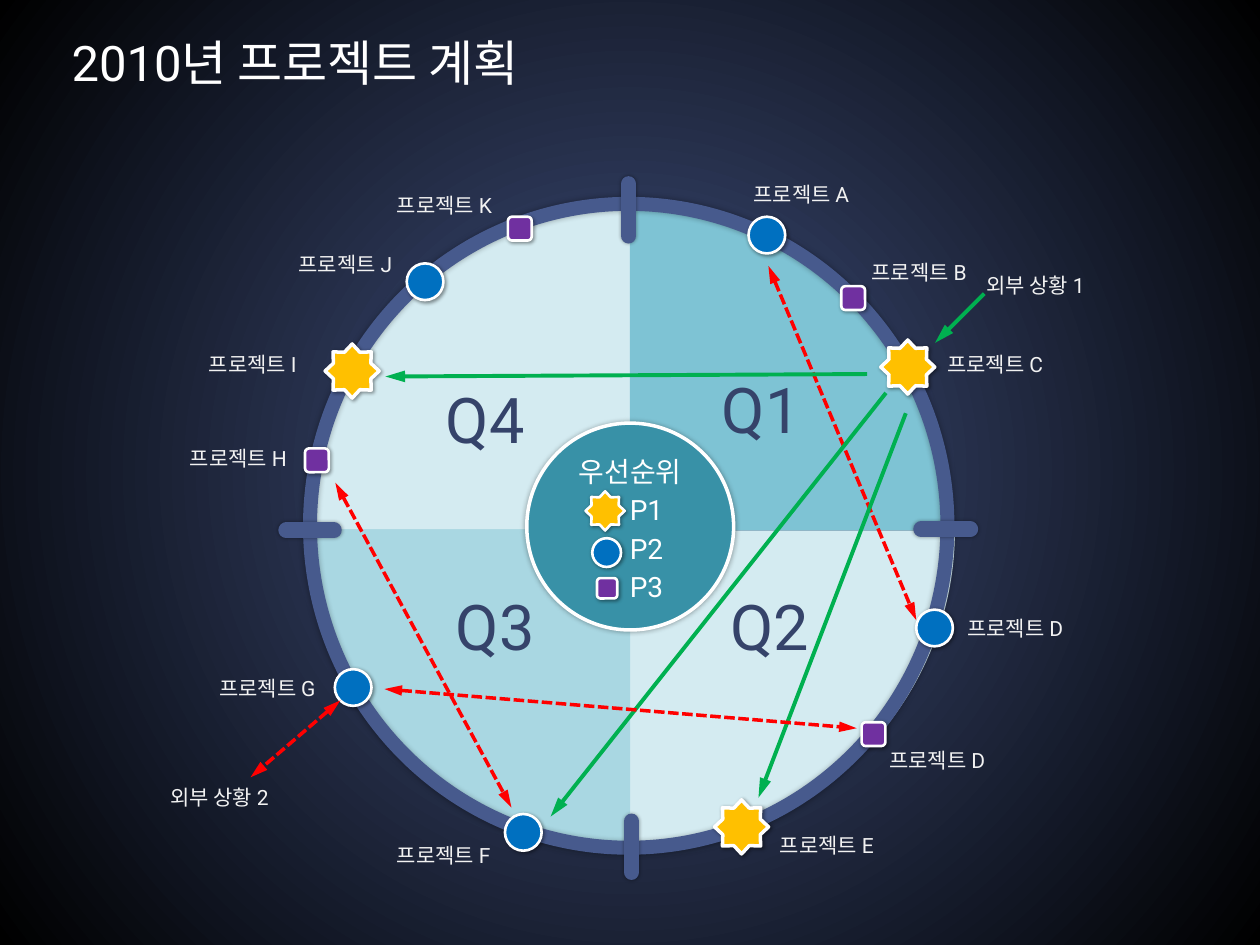
from lxml import etree
from pptx import Presentation
from pptx.dml.color import RGBColor
from pptx.enum import dml, shapes, text
from pptx.oxml.ns import qn
from pptx.util import Cm, Pt

WHITE = RGBColor(0xFF, 0xFF, 0xFF)
BLACK = RGBColor(0x00, 0x00, 0x00)
NAVY = RGBColor(0x35, 0x43, 0x6A)
RING = RGBColor(0x47, 0x5A, 0x8D)
HUB = RGBColor(0x38, 0x91, 0xA7)
PALE = RGBColor(0xD4, 0xEB, 0xF1)
AQUA = RGBColor(0xA9, 0xD7, 0xE2)
TEAL = RGBColor(0x7E, 0xC3, 0xD4)
GOLD = RGBColor(0xFF, 0xC0, 0x00)
BLUE = RGBColor(0x00, 0x70, 0xC0)
PURPLE = RGBColor(0x70, 0x30, 0xA0)
RED = RGBColor(0xFF, 0x00, 0x00)
GREEN = RGBColor(0x00, 0xB0, 0x50)
LABEL = RGBColor(0xF2, 0xF2, 0xF2)

FORM = shapes.MSO_SHAPE
STRAIGHT = shapes.MSO_CONNECTOR.STRAIGHT


def write(para, words, size=12, color=LABEL, align=text.PP_ALIGN.LEFT, spacing=None):
    para.alignment = align
    if spacing:
        para.line_spacing = Pt(spacing)
    span = para.add_run()
    span.text = words
    span.font.name = "Roboto"
    span.font.size = Pt(size)
    span.font.color.rgb = color


def set_shadow(item, alpha=0, blur=0, distance=0):
    """Replace the theme shadow; alpha 0 leaves none."""
    effects = etree.SubElement(item._element.spPr, qn("a:effectLst"))
    if alpha:
        outer = etree.SubElement(
            effects, qn("a:outerShdw"), blurRad=str(Pt(blur)),
            dist=str(Pt(distance)), dir="2700000", algn="tl", rotWithShape="0")
        tint = etree.SubElement(outer, qn("a:srgbClr"), val="000000")
        etree.SubElement(tint, qn("a:alpha"), val=str(alpha * 1000))


deck = Presentation()
deck.slide_width, deck.slide_height = Cm(25.4), Cm(19.05)
page = deck.slides.add_slide(deck.slide_layouts[5])

# Radial background
backdrop = page.background.fill
backdrop.gradient()
for stop, (place, color) in zip(backdrop.gradient_stops, [(0.18, NAVY), (1, BLACK)]):
    stop.position = place
    stop.color.rgb = color
gradient = page._element.find(".//" + qn("a:gradFill"))
gradient.remove(gradient.find(qn("a:lin")))
radial = etree.Element(qn("a:path"))
radial.set("path", "circle")
etree.SubElement(radial, qn("a:fillToRect"), l="50000", t="50000", r="50000", b="50000")
gradient.find(qn("a:gsLst")).addnext(radial)

# Title
title = page.shapes.title
title.left, title.top, title.width, title.height = Cm(1.19), Cm(0.53), Cm(14.3), Cm(1.45)
title.text_frame.vertical_anchor = text.MSO_ANCHOR.TOP
title.text_frame.auto_size = text.MSO_AUTO_SIZE.NONE
write(title.text_frame.paragraphs[0], "2010년 프로젝트 계획", size=28, color=WHITE)

# Quarter wedges
wedges = [
    (12.7, 10.69, 6.55, 6.43, 180, PALE),
    (6.2, 10.69, 6.53, 6.48, 270, AQUA),
    (6.15, 4.24, 6.55, 6.43, 0, PALE),
    (12.67, 4.19, 6.53, 6.48, 90, TEAL),
]
for left, top, width, height, turn, color in wedges:
    wedge = page.shapes.add_shape(FORM.PIE_WEDGE, Cm(left), Cm(top), Cm(width), Cm(height))
    wedge.rotation = turn
    wedge.fill.solid()
    wedge.fill.fore_color.rgb = color
    wedge.line.fill.background()
    set_shadow(wedge)

# Year ring and its four ticks
ring = page.shapes.add_shape(FORM.OVAL, Cm(6.25), Cm(4.11), Cm(12.85), Cm(12.98))
ring.fill.background()
ring.line.color.rgb = RING
ring.line.width = Pt(8)
set_shadow(ring, alpha=34, blur=3)

ticks = [
    (12.67, 3.71, 12.67, 4.75),
    (18.57, 10.67, 19.56, 10.67),
    (5.77, 10.69, 6.73, 10.69),
    (12.73, 16.56, 12.73, 17.58),
]
for ends in ticks:
    tick = page.shapes.add_connector(STRAIGHT, *map(Cm, ends))
    tick.line.color.rgb = RING
    tick.line.width = Pt(9)
    tick.line._get_or_add_ln().set("cap", "rnd")
    set_shadow(tick, alpha=35, blur=2)

# Hub with the priority legend
hub = page.shapes.add_shape(FORM.OVAL, Cm(10.62), Cm(8.53), Cm(4.17), Cm(4.17))
hub.fill.solid()
hub.fill.fore_color.rgb = HUB
hub.line.color.rgb = WHITE
hub.line.width = Pt(2)
set_shadow(hub, alpha=34, blur=3)
hub.text_frame.word_wrap = True
hub.text_frame.vertical_anchor = text.MSO_ANCHOR.MIDDLE
for index, words in enumerate(["우선순위", "P1", "P2", "P3"]):
    para = hub.text_frame.add_paragraph() if index else hub.text_frame.paragraphs[0]
    if index:
        para._p.get_or_add_pPr().set("marL", str(Cm(0.66)))
    write(para, words, size=16, color=WHITE, align=text.PP_ALIGN.CENTER, spacing=22)

# Markers: shape, colour, size on the ring, size in the legend, ring outline
priorities = {
    "P1": (FORM.STAR_8_POINT, GOLD, 1.09, 0.79, 2),
    "P2": (FORM.OVAL, BLUE, 0.74, 0.58, 1.5),
    "P3": (FORM.ROUNDED_RECTANGLE, PURPLE, 0.48, 0.41, 1.5),
}
legend = [("P1", 12.2, 10.3), ("P2", 12.23, 11.14), ("P3", 12.24, 11.86)]
# Name, priority, marker centre, label corner
projects = [
    ("A", "P2", 15.46, 4.74, 14.94, 3.53),
    ("B", "P3", 17.2, 6.01, 17.32, 5.11),
    ("C", "P1", 18.3, 7.4, 18.85, 6.96),
    ("D", "P2", 18.84, 12.66, 19.25, 12.29),
    ("D", "P3", 17.61, 14.8, 17.68, 14.94),
    ("E", "P1", 14.95, 16.67, 15.47, 16.66),
    ("F", "P2", 10.55, 16.78, 7.75, 16.87),
    ("G", "P2", 7.12, 13.86, 4.17, 13.49),
    ("H", "P3", 6.39, 9.28, 3.58, 8.86),
    ("I", "P1", 7.1, 7.48, 3.96, 6.96),
    ("J", "P2", 8.57, 5.68, 5.77, 4.95),
    ("K", "P3", 10.48, 4.61, 7.75, 3.76),
]
markers = [(*entry, True) for entry in legend]
markers += [(*project[1:4], False) for project in projects]
for priority, x, y, in_legend in markers:
    form, color, ring_size, legend_size, outline = priorities[priority]
    size = legend_size if in_legend else ring_size
    marker = page.shapes.add_shape(
        form, Cm(x - size / 2), Cm(y - size / 2), Cm(size), Cm(size))
    marker.fill.solid()
    marker.fill.fore_color.rgb = color
    marker.line.color.rgb = WHITE
    marker.line.width = Pt(1.5 if in_legend else outline)
    set_shadow(marker, alpha=41, blur=2, distance=1)

# Dependencies: red dashed ones run both ways, green ones one way
arrows = [
    (RED, 15.49, 5.36, 18.47, 12.5),
    (GREEN, 18.26, 8.33, 15.29, 16.08),
    (GREEN, 17.86, 7.92, 11.1, 16.46),
    (GREEN, 17.48, 7.54, 7.77, 7.59),
    (RED, 6.76, 9.73, 10.31, 16.28),
    (RED, 7.75, 13.89, 17.27, 14.68),
    (GREEN, 19.84, 5.92, 18.85, 6.91),
    (RED, 6.86, 14.12, 5.05, 15.67),
]
for color, *ends in arrows:
    arrow = page.shapes.add_connector(STRAIGHT, *map(Cm, ends))
    arrow.line.color.rgb = color
    arrow.line.width = Pt(2 if color == RED else 2.25)
    if color == RED:
        # SQUARE_DOT is written as the sysDot preset, so the dash is set on the element
        arrow.line.dash_style = dml.MSO_LINE.DASH
        arrow.line._get_or_add_ln().find(qn("a:prstDash")).set("val", "sysDash")
    for tip in ["headEnd", "tailEnd"] if color == RED else ["tailEnd"]:
        etree.SubElement(arrow.line._get_or_add_ln(), qn("a:" + tip),
                         type="triangle", w="med", len="lg")
    set_shadow(arrow)

# Quarter names, project names and outside events
quarters = [("Q1", 14.3, 7.34), ("Q4", 8.74, 7.54), ("Q3", 8.94, 11.71), ("Q2", 14.48, 11.71)]
events = [("외부 상황 1", 19.63, 5.36), ("외부 상황 2", 3.18, 15.7)]
captions = [(*quarter, 2.39, 1.8, 36, NAVY) for quarter in quarters]
names = [("프로젝트 " + project[0], *project[4:]) for project in projects]
captions += [(*name, 4.17, 0.76, 12, LABEL) for name in names + events]
for words, left, top, width, height, size, color in captions:
    box = page.shapes.add_textbox(Cm(left), Cm(top), Cm(width), Cm(height))
    box.text_frame.word_wrap = True
    box.text_frame.auto_size = text.MSO_AUTO_SIZE.SHAPE_TO_FIT_TEXT
    write(box.text_frame.paragraphs[0], words, size=size, color=color)

deck.save("out.pptx")
